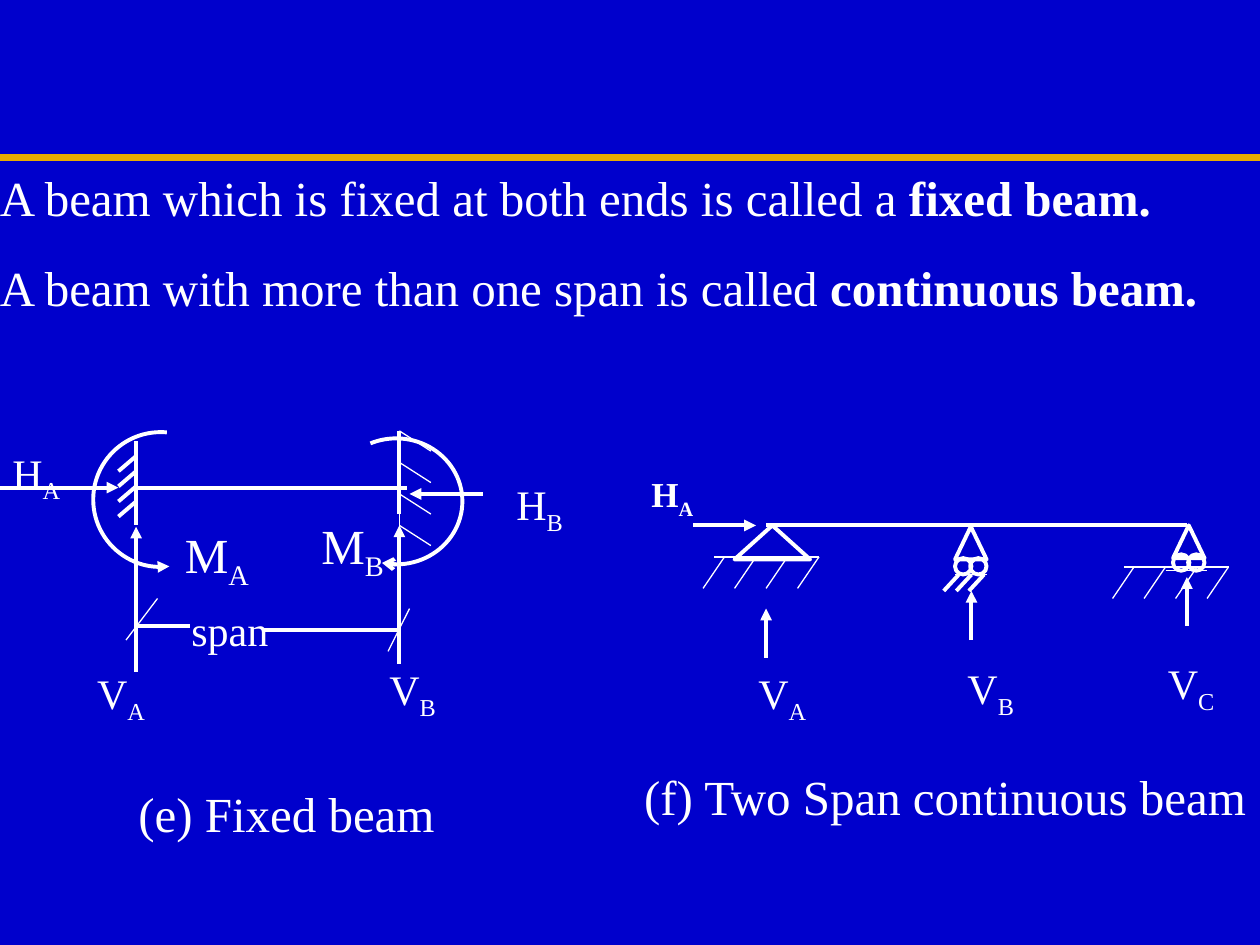
from lxml.etree import SubElement
from pptx import Presentation
from pptx.dml.color import RGBColor
from pptx.enum.shapes import MSO_CONNECTOR, MSO_SHAPE
from pptx.enum.text import PP_ALIGN
from pptx.oxml.ns import qn
from pptx.util import Inches, Pt

THEME = {
    "font": "Times New Roman",
    "background": RGBColor(0x00, 0x00, 0xCC),
    "ink": RGBColor(0xFF, 0xFF, 0xFF),
    "rule": RGBColor(0xE8, 0xAB, 0x00),
    "body": 28, "label": 24, "small": 20,
    "rule_width": 4.5, "thick": 2.25, "thin": 0.75,
}
LEFT, CENTER = PP_ALIGN.LEFT, PP_ALIGN.CENTER
PADDED = (0.1, 0.05)
FLUSH = (0, 0)

DEFINITIONS = [
    [("A beam which is fixed at both ends is called a ", ""), ("fixed beam.", "bold")],
    [("A beam with more than one span is called ", ""), ("continuous beam.", "bold")],
]

# box, base letter, subscript, size, alignment
SYMBOLS = [
    ((0, 3.5, 0.75, 0.31), "H", "A", "label", LEFT),
    ((4, 3.75, 0.75, 0.22), "H", "B", "label", LEFT),
    ((1.37, 4.11, 0.8, 0.22), "M", "A", "body", LEFT),
    ((0.5, 5.25, 0.92, 0.33), "V", "A", "label", CENTER),
    ((2.8, 5.22, 0.95, 0.37), "V", "B", "label", CENTER),
    ((5.92, 5.25, 0.75, 0.3), "V", "A", "label", LEFT),
    ((7.58, 5.21, 0.75, 0.39), "V", "B", "label", LEFT),
    ((9.17, 5.17, 0.83, 0.22), "V", "C", "label", LEFT),
]

MEMBERS = [
    (1.08, 3.87, 3.08, 3.87), (3.08, 3.87, 3.23, 3.87),
    (1.08, 3.5, 1.08, 4.17), (3.17, 3.42, 3.17, 4.08),
    (1.08, 4.97, 1.51, 4.97), (2.08, 5, 3.17, 5),
    (6.08, 4.17, 9.42, 4.17),
]
FORCES = [
    (0, 3.87, 0.94, 3.87), (3.83, 3.92, 3.25, 3.92),
    (1.08, 5.33, 1.08, 4.18), (3.17, 5.27, 3.17, 4.17),
    (5.5, 4.17, 6, 4.17), (6.08, 5.22, 6.08, 4.83),
    (7.71, 5.08, 7.71, 4.69), (9.42, 4.97, 9.42, 4.58),
]
THIN_LINES = [
    (1.25, 4.75, 1, 5.08), (3.25, 4.83, 3.08, 5.17),
    (7.58, 4.56, 7.83, 4.56), (9.25, 4.53, 9.58, 4.53),
]

# box, start and end angle, arrow end, arrow type
MOMENTS = [
    ((0.74, 3.43, 1.07, 1.07), 82.5, 275.3, "headEnd", "triangle"),
    ((2.62, 3.48, 1.05, 1), 246, 103, "tailEnd", "arrow"),
]

PIN = (5.83, 4.17, 0.6, 0.27)
ROLLERS = [(7.58, 4.18, 4.43), (9.31, 4.17, 4.4)]
GROUNDS = [(5.75, 4.42), (9, 4.5)]

prs = Presentation()
prs.slide_width, prs.slide_height = Inches(10), Inches(7.5)
s = prs.slides.add_slide(prs.slide_layouts[6])
s.background.fill.solid()
s.background.fill.fore_color.rgb = THEME["background"]


def add_arrow(sp, end, kind):
    SubElement(sp.line._get_or_add_ln(), qn("a:" + end), type=kind)


def add_line(points, width="thick", arrow=None, color="ink", shapes=s.shapes):
    sp = shapes.add_connector(MSO_CONNECTOR.STRAIGHT, *map(Inches, points))
    sp.line.color.rgb = THEME[color]
    sp.line.width = Pt(THEME[width])
    if arrow:
        add_arrow(sp, "tailEnd", arrow)
    SubElement(sp._element.spPr, qn("a:effectLst"))


def add_outline(kind, box):
    sp = s.shapes.add_shape(kind, *map(Inches, box))
    sp.shadow.inherit = False
    sp.fill.background()
    sp.line.color.rgb = THEME["ink"]
    sp.line.width = Pt(THEME["thick"])
    return sp


def add_text(box, paragraphs, size, align=LEFT, margins=PADDED, before=0, wrap=True):
    tf = s.shapes.add_textbox(*map(Inches, box)).text_frame
    tf.word_wrap = wrap
    tf.margin_left = tf.margin_right = Inches(margins[0])
    tf.margin_top = tf.margin_bottom = Inches(margins[1])
    for i, runs in enumerate(paragraphs):
        p = tf.add_paragraph() if i else tf.paragraphs[0]
        p.alignment = align
        p.space_before = Pt(before)
        for text, style in runs:
            r = p.add_run()
            r.text = text
            r.font.name = THEME["font"]
            r.font.size = Pt(THEME[size])
            r.font.color.rgb = THEME["ink"]
            r.font.bold = "bold" in style
            if "sub" in style:
                r.font._element.set("baseline", "-25000")


def add_hatch(start, step, stroke, count, width, edge=None):
    shapes = s.shapes.add_group_shape().shapes
    for i in range(count):
        x, y = start[0] + i * step[0], start[1] + i * step[1]
        add_line((x, y, x + stroke[0], y + stroke[1]), width, shapes=shapes)
    if edge:
        add_line(edge, width, shapes=shapes)


add_line((0, 1.25, 10.03, 1.25), "rule_width", color="rule")
add_text((0, 1.33, 10, 1.18), DEFINITIONS, "body", margins=FLUSH, before=17.5)

for points in MEMBERS:
    add_line(points)
for points in FORCES:
    add_line(points, arrow="triangle")
for points in THIN_LINES:
    add_line(points, "thin")

for box, start, end, arrow_end, arrow in MOMENTS:
    sp = add_outline(MSO_SHAPE.ARC, box)
    sp.adjustments[0], sp.adjustments[1] = start * 0.6, end * 0.6
    add_arrow(sp, arrow_end, arrow)

add_outline(MSO_SHAPE.ISOSCELES_TRIANGLE, PIN)
for x, top, wheel_top in ROLLERS:
    add_outline(MSO_SHAPE.ISOSCELES_TRIANGLE, (x, top, 0.25, 0.26))
    for dx in (0, 0.12):
        add_outline(MSO_SHAPE.OVAL, (x + dx, wheel_top, 0.13, 0.13))

add_hatch((1.08, 3.62), (0, 0.12), (-0.14, 0.12), 4, "thick")
add_hatch((3.17, 3.42), (0, 0.25), (0.25, 0.16), 4, "thin", (3.17, 3.42, 3.17, 4.25))
add_hatch((7.61, 4.56), (0.1, 0), (-0.12, 0.13), 3, "thick")
for x, y in GROUNDS:
    add_hatch((x, y), (0.25, 0), (-0.17, 0.25), 4, "thin", (x - 0.08, y, x + 0.75, y))

for box, letter, sub, size, align in SYMBOLS:
    add_text(box, [[(letter, ""), (sub, "sub")]], size, align)
add_text((2.55, 4.09, 0.5, 0.53), [[("M", ""), ("B", "sub")]], "body",
         margins=FLUSH, before=17.5, wrap=False)
add_text((5.17, 3.75, 0.5, 0.38), [[("H", "bold"), ("A", "bold sub")]], "small",
         margins=FLUSH, before=12.5)
add_text((1.42, 4.75, 1.08, 0.17), [[("span", "")]], "label")
add_text((1, 6.17, 3.12, 0.61), [[("(e) Fixed beam", "")]], "body")
add_text((5, 6.08, 5, 0.47), [[("(f) Two Span continuous beam", "")]], "body",
         CENTER, FLUSH, 17.5)

prs.save("out.pptx")
